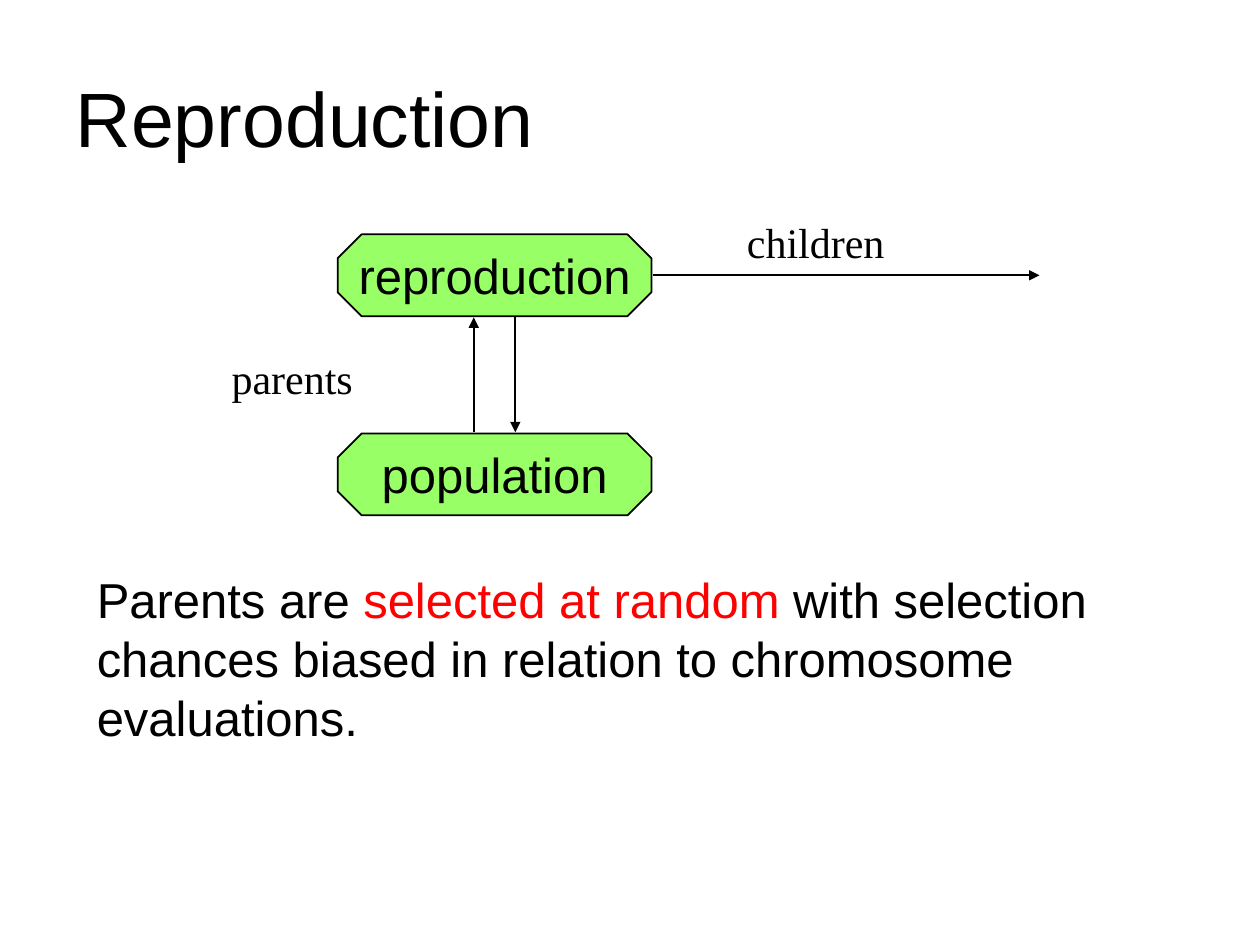
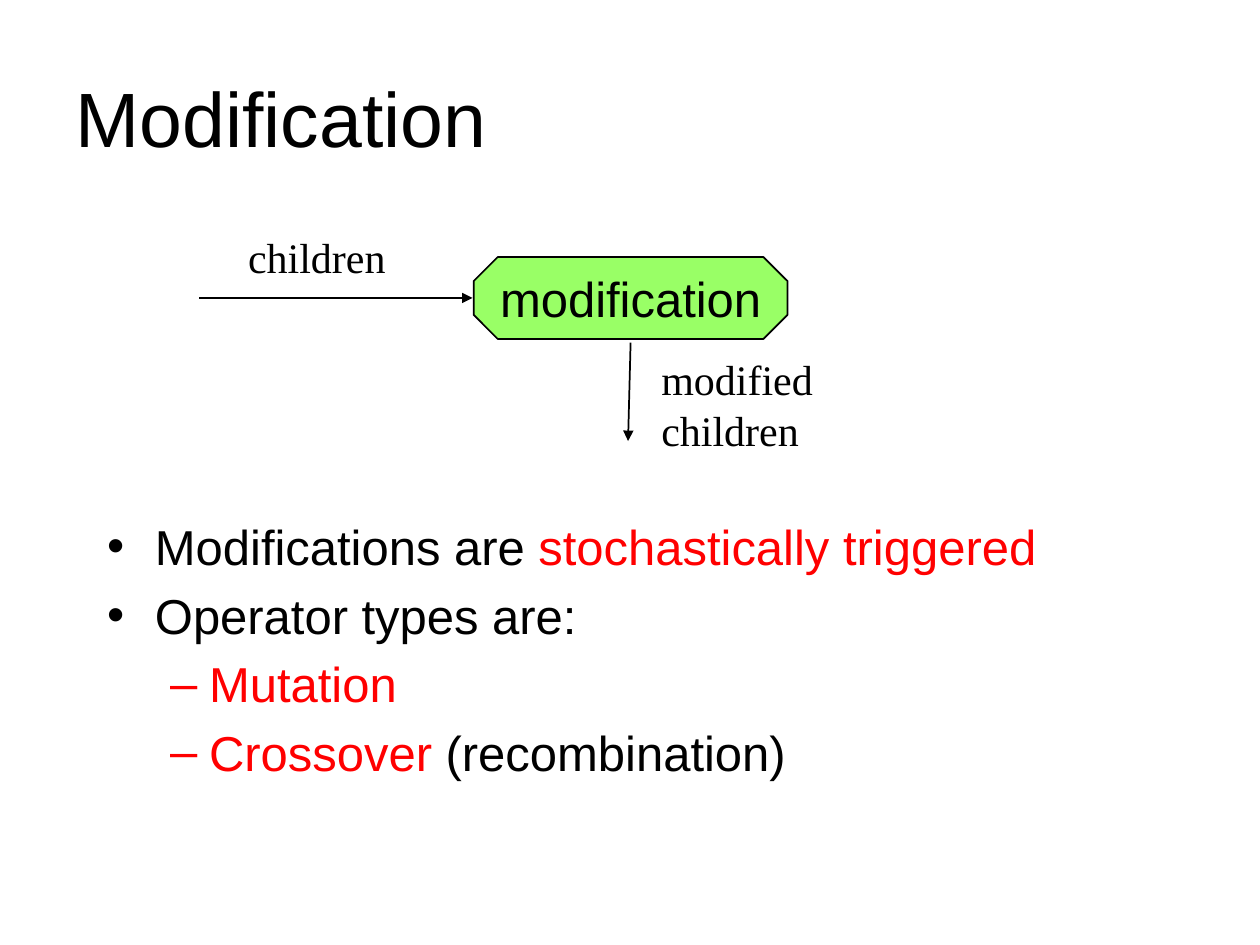
from collections import namedtuple

import pptx
import pptx.dml.color
import pptx.enum.shapes
import pptx.enum.text
import pptx.oxml
import pptx.oxml.ns
import pptx.util

COLORS = {"text": "000000", "highlight": "FF0000", "node": "99FF66", "line": "000000"}
SANS, SERIF = "Arial", "Times New Roman"
COLUMNS, ROWS = 100, 75
SLIDE_WIDTH, SLIDE_HEIGHT = pptx.util.Inches(10), pptx.util.Inches(7.5)
NODE_WIDTH, NODE_HEIGHT = 24.9, 6.5
LABEL_HEIGHT = 5
ARROW_GAP = 0.1
ALIGN = pptx.enum.text.PP_ALIGN
ANCHOR = pptx.enum.text.MSO_ANCHOR
AUTO_SIZE = pptx.enum.text.MSO_AUTO_SIZE

Box = namedtuple("Box", "left top width height")
TITLE_BOX = Box(5, 3, 90, 12.5)


def color(name):
    return pptx.dml.color.RGBColor.from_string(COLORS[name])


def across(columns):
    return round(SLIDE_WIDTH * columns / COLUMNS)


def down(rows):
    return round(SLIDE_HEIGHT * rows / ROWS)


def place(box):
    return across(box.left), down(box.top), across(box.width), down(box.height)


def move(shape, box):
    shape.left, shape.top, shape.width, shape.height = place(box)


def write_text(frame, paragraphs, size=28, font=SANS, align=ALIGN.LEFT,
               anchor=ANCHOR.TOP, wrap=True, gap=0):
    """Fill a frame; each paragraph is a list of (text, colour name) runs."""
    frame.auto_size = AUTO_SIZE.NONE
    frame.word_wrap = wrap
    frame.vertical_anchor = anchor
    for index, runs in enumerate(paragraphs):
        paragraph = frame.add_paragraph() if index else frame.paragraphs[0]
        paragraph.alignment = align
        paragraph.space_before = pptx.util.Pt(gap if index else 0)
        for text, color_name in runs:
            for number, line in enumerate(text.split("\n")):
                if number:
                    paragraph.add_line_break()
                run = paragraph.add_run()
                run.text = line
                run.font.size = pptx.util.Pt(size)
                run.font.name = font
                run.font.color.rgb = color(color_name)


def add_titled_slide(presentation, layout, title):
    slide = presentation.slides.add_slide(presentation.slide_layouts[layout])
    move(slide.shapes.title, TITLE_BOX)
    write_text(slide.shapes.title.text_frame, [[(title, "text")]],
               size=44, anchor=ANCHOR.MIDDLE)
    return slide


def add_node(slide, left, top, text):
    """Add an octagon and return its box."""
    box = Box(left, top, NODE_WIDTH, NODE_HEIGHT)
    shape = slide.shapes.add_shape(pptx.enum.shapes.MSO_SHAPE.OCTAGON, *place(box))
    shape.adjustments[0] = 0.293
    shape.shadow.inherit = False
    shape.fill.solid()
    shape.fill.fore_color.rgb = color("node")
    shape.line.color.rgb = color("line")
    shape.line.width = pptx.util.Pt(1)
    write_text(shape.text_frame, [[(text, "text")]], align=ALIGN.CENTER,
               anchor=ANCHOR.MIDDLE, wrap=False)
    return box


def add_arrow(slide, start, tip):
    connector = slide.shapes.add_connector(
        pptx.enum.shapes.MSO_CONNECTOR.STRAIGHT,
        across(start[0]), down(start[1]), across(tip[0]), down(tip[1]))
    connector.line.color.rgb = color("line")
    connector.line.width = pptx.util.Pt(1)
    line = connector.line._get_or_add_ln()
    pptx.oxml.ns.qn("a:tailEnd")
    line.append(pptx.oxml.parse_xml(
        f'<a:tailEnd {pptx.oxml.ns.nsdecls("a")} type="triangle"/>'))
    connector._element.spPr.append(pptx.oxml.parse_xml(
        f'<a:effectLst {pptx.oxml.ns.nsdecls("a")}/>'))


def add_text_box(slide, box, paragraphs, **text_format):
    shape = slide.shapes.add_textbox(*place(box))
    write_text(shape.text_frame, paragraphs, **text_format)


def add_label(slide, left, top, width, text):
    height = LABEL_HEIGHT + 4 * text.count("\n")
    add_text_box(slide, Box(left, top, width, height), [[(text, "text")]],
                 size=24, font=SERIF, wrap=False)


def draw_reproduction(slide, box):
    """Two stacked nodes exchanging parents, with children leaving to the right."""
    node_left = box.left + 9.4
    upper = add_node(slide, node_left, box.top + 1.9, "reproduction")
    lower = add_node(slide, node_left, box.top + box.height - NODE_HEIGHT, "population")

    middle = node_left + NODE_WIDTH / 2
    high = upper.top + NODE_HEIGHT + ARROW_GAP
    low = lower.top - ARROW_GAP
    offset = 1.65
    add_arrow(slide, (middle - offset, low), (middle - offset, high))
    add_arrow(slide, (middle + offset, high), (middle + offset, low))
    exit_row = upper.top + NODE_HEIGHT / 2
    add_arrow(slide, (node_left + NODE_WIDTH + ARROW_GAP, exit_row),
              (box.left + box.width, exit_row))

    add_label(slide, box.left, box.top + 10.8, 12, "parents")
    add_label(slide, box.left + 40.9, box.top, 13.1, "children")


def draw_modification(slide, box):
    """Children enter a node from the left and leave it modified, downwards."""
    node = add_node(slide, box.left + box.width - NODE_WIDTH, box.top + 2.5, "modification")
    entry_row = node.top + NODE_HEIGHT / 2
    add_arrow(slide, (box.left, entry_row), (node.left - ARROW_GAP, entry_row))
    middle = node.left + NODE_WIDTH / 2
    add_arrow(slide, (middle, node.top + NODE_HEIGHT + 3 * ARROW_GAP),
              (middle - 0.2, box.top + box.height))
    add_label(slide, box.left + 2.9, box.top, 13.1, "children")
    add_label(slide, middle + 1.45, box.top + 9.7, 14, "modified\nchildren")


def fill_list(body, box, items):
    """Fill the body placeholder with (level, runs) items."""
    move(body, box)
    write_text(body.text_frame, [runs for _, runs in items], gap=5.6)
    indents = [(0.38, -0.38), (0.81, -0.31)]
    for paragraph, (level, _) in zip(body.text_frame.paragraphs, items):
        paragraph.level = level
        margin, indent = indents[level]
        properties = paragraph._p.get_or_add_pPr()
        properties.set("marL", str(pptx.util.Inches(margin)))
        properties.set("indent", str(pptx.util.Inches(indent)))


def build_reproduction_slide(presentation):
    slide = add_titled_slide(presentation, 5, "Reproduction")
    draw_reproduction(slide, Box(17.4, 16.7, 65.1, 24.2))
    add_text_box(slide, Box(6.7, 44.7, 86.6, 15.1), [[
        ("Parents are ", "text"),
        ("selected at random ", "highlight"),
        ("with selection chances biased in relation to chromosome evaluations.", "text"),
    ]])


def build_modification_slide(presentation):
    slide = add_titled_slide(presentation, 1, "Modification")
    draw_modification(slide, Box(15.8, 17.9, 46.7, 17.1))
    fill_list(slide.placeholders[1], Box(7.5, 40.5, 85, 25.3), [
        (0, [("Modifications are ", "text"), ("stochastically triggered", "highlight")]),
        (0, [("Operator types are:", "text")]),
        (1, [("Mutation", "highlight")]),
        (1, [("Crossover", "highlight"), (" (recombination)", "text")]),
    ])


def main():
    presentation = pptx.Presentation()
    presentation.slide_width = SLIDE_WIDTH
    presentation.slide_height = SLIDE_HEIGHT
    build_reproduction_slide(presentation)
    build_modification_slide(presentation)
    presentation.save("out.pptx")


if __name__ == "__main__":
    main()
